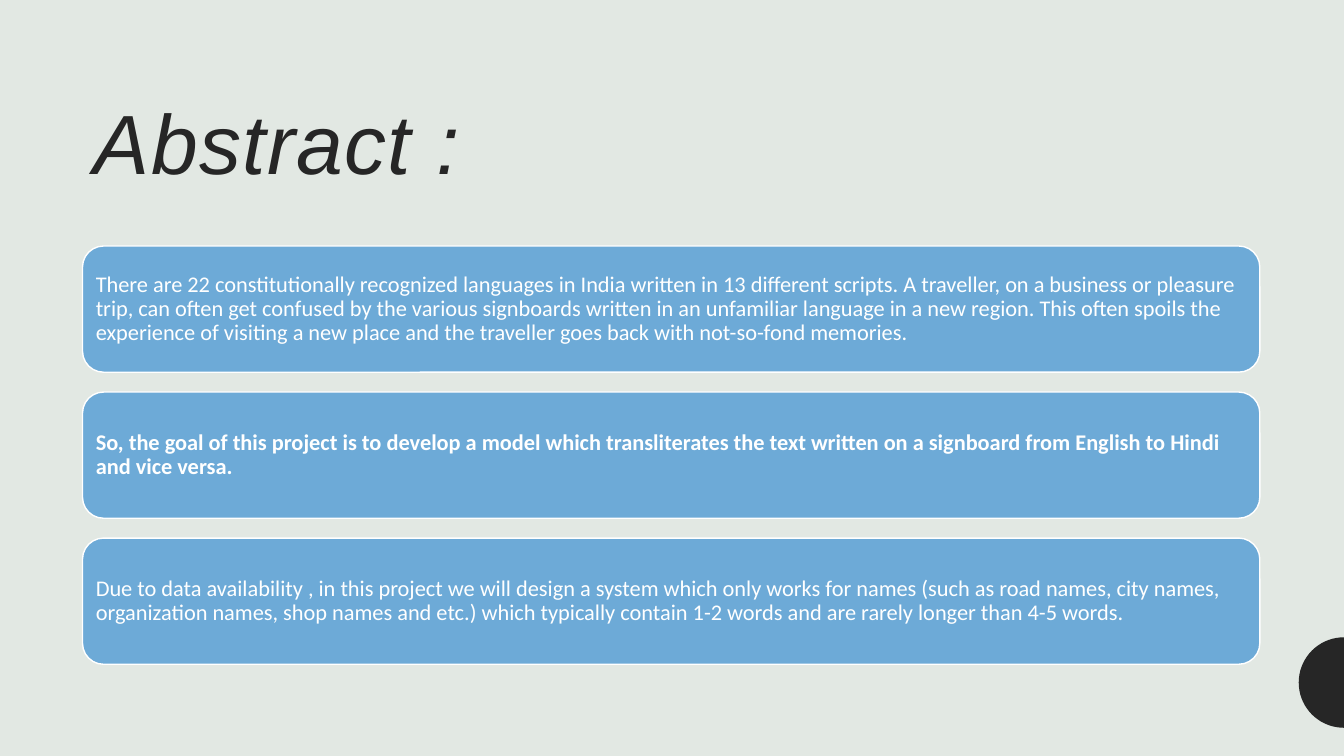
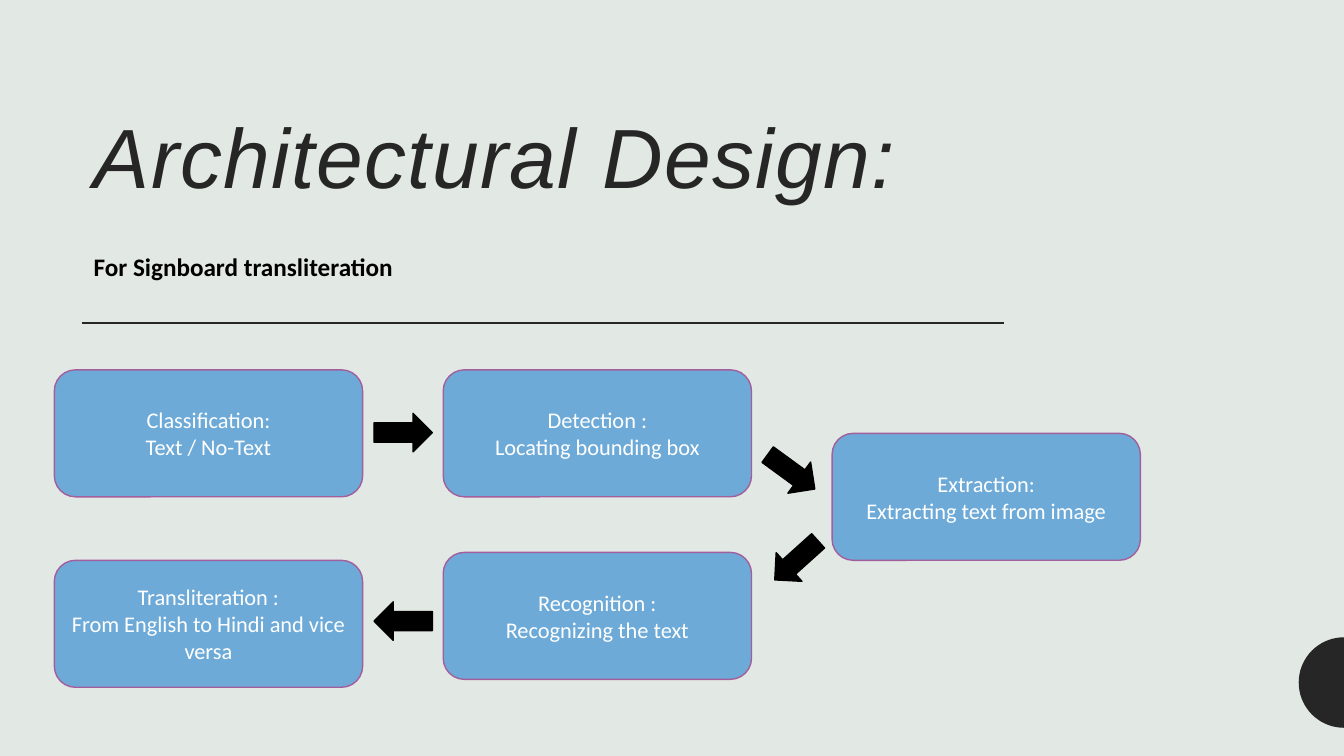
import math

import pptx
import pptx.util
import pptx.dml.color
import pptx.enum.shapes
import pptx.enum.text
from lxml import etree

Cm, Pt = pptx.util.Cm, pptx.util.Pt
SHAPE = pptx.enum.shapes.MSO_SHAPE
ALIGN = pptx.enum.text.PP_ALIGN
ANCHOR = pptx.enum.text.MSO_ANCHOR

# Content
ABSTRACT = [
    ("There are 22 constitutionally recognized languages in India written in 13 different scripts. "
     "A traveller, on a business or pleasure trip, can often get confused by the various signboards "
     "written in an unfamiliar language in a new region. This often spoils the experience of visiting "
     "a new place and the traveller goes back with not-so-fond memories.", False),
    ("So, the goal of this project is to develop a model which transliterates the text written on a "
     "signboard from English to Hindi and vice versa.", True),
    ("Due to data availability , in this project we will design a system which only works for names "
     "(such as road names, city names, organization names, shop names and etc.) which typically "
     "contain 1-2 words and are rarely longer than 4-5 words.", False),
]
# Step text, column, top in cm
STEPS = [
    ("Classification:\nText / No-Text", 0, 9.32),
    ("Detection :\nLocating bounding box", 1, 9.32),
    ("Extraction:\nExtracting text from image", 2, 10.92),
    ("Recognition :\nRecognizing the text", 1, 13.92),
    ("Transliteration :\nFrom English to Hindi and vice versa", 0, 14.12),
]
# Arrow centre x and y in cm, rotation in degrees
ARROWS = [(10.16, 10.9, 0), (19.94, 11.89, 36.1), (20.07, 14.12, 138), (10.16, 15.65, 180)]

# Shared style
COLORS = {"back": "E2E8E3", "dark": "262626", "box": "6DAAD7", "white": "FFFFFF",
          "purple": "A35F9D", "black": "000000"}
WIDTH, HEIGHT = 33.87, 19.05


def rgb(name):
    return pptx.dml.color.RGBColor.from_string(COLORS[name])


def paint(sp, fill, line=None):
    sp.shadow.inherit = False
    sp.fill.solid()
    sp.fill.fore_color.rgb = rgb(fill)
    if line:
        sp.line.color.rgb = rgb(line)
        sp.line.width = Pt(1)
    else:
        sp.line.fill.background()


def write(tf, text, size, color, font="Calibri", align=ALIGN.LEFT, spacing=None,
          bold=False, italic=False):
    tf.text = text
    for p in tf.paragraphs:
        p.alignment = align
        if spacing:
            p.line_spacing = spacing
        for r in p.runs:
            r.font.name, r.font.size = font, Pt(size)
            r.font.bold, r.font.italic = bold, italic
            r.font.color.rgb = rgb(color)


def add_slide(prs, title, left, top, width, height, anchor):
    s = prs.slides.add_slide(prs.slide_layouts[5])
    sp = s.shapes.title
    sp.left, sp.top, sp.width, sp.height = Cm(left), Cm(top), Cm(width), Cm(height)
    tf = sp.text_frame
    tf.auto_size = pptx.enum.text.MSO_AUTO_SIZE.NONE
    tf.vertical_anchor = anchor
    write(tf, title, 60, "dark", font="Arial", spacing=0.9, italic=True)
    tf.paragraphs[0].runs[0].font._element.set("spc", "100")

    # Half disc at the right edge
    radius, middle = 1.14, 17.2
    arc = [(Cm(WIDTH - radius * math.sin(math.radians(a))),
            Cm(middle - radius * math.cos(math.radians(a)))) for a in range(0, 181, 5)]
    builder = s.shapes.build_freeform(*arc[0])
    builder.add_line_segments(arc[1:], close=True)
    paint(builder.convert_to_shape(), "dark")
    return s


def add_box(s, left, top, width, height, line):
    sp = s.shapes.add_shape(SHAPE.ROUNDED_RECTANGLE, Cm(left), Cm(top), Cm(width), Cm(height))
    paint(sp, "box", line)
    tf = sp.text_frame
    tf.word_wrap = True
    tf.vertical_anchor = ANCHOR.MIDDLE
    return tf


def abstract_slide(prs):
    s = add_slide(prs, "Abstract :", 2.11, 1.17, 29.64, 3.81, ANCHOR.BOTTOM)
    for i, (text, bold) in enumerate(ABSTRACT):
        tf = add_box(s, 2.08, 6.2 + i * 3.68, 29.67, 3.18, "white")
        tf.margin_left = tf.margin_right = tf.margin_top = tf.margin_bottom = Cm(0.18)
        write(tf, text, 16, "white", spacing=0.9, bold=bold)


def design_slide(prs):
    s = add_slide(prs, "Architectural Design:", 2.11, 2.11, 23.11, 3.89, ANCHOR.MIDDLE)

    # Subtitle and rule
    tf = s.shapes.add_textbox(Cm(2.11), Cm(6.22), Cm(9.45), Cm(1.02)).text_frame
    write(tf, "For Signboard transliteration", 18, "black", bold=True)
    rule = s.shapes.add_connector(pptx.enum.shapes.MSO_CONNECTOR.STRAIGHT,
                                  Cm(25.3), Cm(8.15), Cm(2.06), Cm(8.15))
    rule.line.color.rgb = rgb("dark")
    rule.line.width = Pt(1.5)
    etree.SubElement(rule._element.spPr, pptx.oxml.ns.qn("a:effectLst"))

    # Flow of steps
    for text, column, top in STEPS:
        tf = add_box(s, 1.37 + column * 9.8, top, 7.77, 3.2, "purple")
        write(tf, text, 16, "white", align=ALIGN.CENTER)
    width, height = 1.47, 0.97
    for x, y, angle in ARROWS:
        sp = s.shapes.add_shape(SHAPE.RIGHT_ARROW, Cm(x - width / 2), Cm(y - height / 2),
                                Cm(width), Cm(height))
        sp.rotation = angle
        paint(sp, "black", "black")


def main():
    prs = pptx.Presentation()
    prs.slide_width, prs.slide_height = Cm(WIDTH), Cm(HEIGHT)
    fill = prs.slide_master.background.fill
    fill.solid()
    fill.fore_color.rgb = rgb("back")
    abstract_slide(prs)
    design_slide(prs)
    prs.save("out.pptx")


if __name__ == "__main__":
    main()
